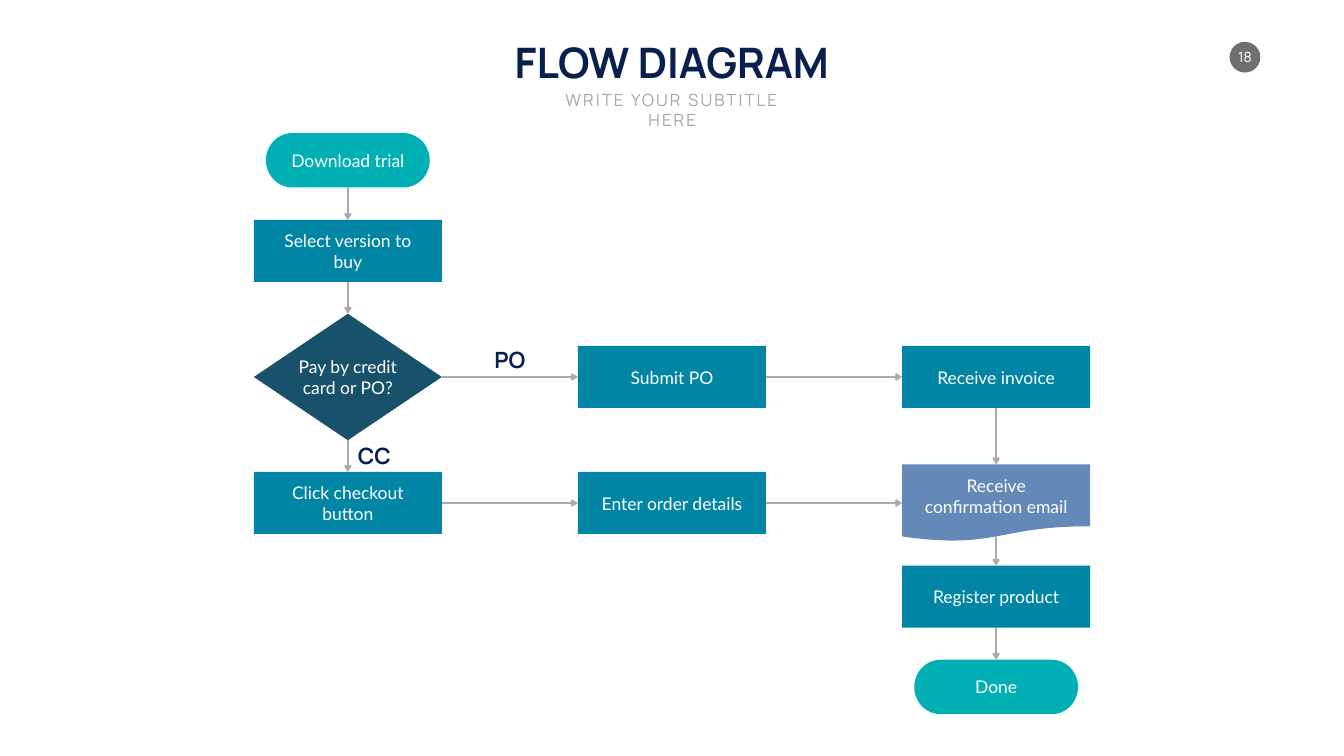
from pptx import Presentation
from pptx.dml.color import RGBColor
from pptx.enum.shapes import MSO_CONNECTOR, MSO_SHAPE
from pptx.enum.text import MSO_ANCHOR, MSO_AUTO_SIZE, PP_ALIGN
from pptx.oxml.ns import qn
from pptx.util import Inches, Pt
from lxml.etree import SubElement

NAVY, GREY, LINE, WHITE = "08204D", "A6A6A6", "AAAAAA", "FFFFFF"
HEADING_FONT, BODY_FONT = "Manrope", "Lato"
TOP, LEFT, BOTTOM, RIGHT = range(4)
COLUMNS = [6.9, 13.33, 19.76]
DOCUMENT_EDGE = 10.64

# kind: preset, fill, width, height, label width, label rise
KINDS = {
    "terminator": (MSO_SHAPE.FLOWCHART_TERMINATOR, "00B0B5", 3.25, 1.08, 2.63, 0),
    "process": (MSO_SHAPE.RECTANGLE, "0085A4", 3.73, 1.23, 3.1, 0),
    "decision": (MSO_SHAPE.FLOWCHART_DECISION, "18526A", 3.73, 2.51, 2.33, 0),
    "document": (MSO_SHAPE.FLOWCHART_DOCUMENT, "6488B7", 3.73, 1.53, 3.25, 0.14),
}

# name: kind, column, vertical centre, label, label height
STEPS = {
    "download": ("terminator", 0, 3.18, "Download trial", 0.52),
    "select": ("process", 0, 4.98, "Select version to buy", 0.94),
    "checkout": ("process", 0, 9.98, "Click checkout button", 0.94),
    "payment": ("decision", 0, 7.48, "Pay by credit card or PO?", 0.94),
    "order": ("process", 1, 9.98, "Enter order details", 0.52),
    "submit": ("process", 1, 7.48, "Submit PO", 0.52),
    "invoice": ("process", 2, 7.48, "Receive invoice", 0.52),
    "register": ("process", 2, 11.84, "Register product", 0.52),
    "email": ("document", 2, 9.98, "Receive confirmation email", 0.94),
    "done": ("terminator", 2, 13.63, "Done", 0.52),
}

DOWNWARD = [("download", "select"), ("select", "payment"), ("payment", "checkout"),
            ("invoice", "email"), ("email", "register"), ("register", "done")]
ACROSS = [("payment", "submit"), ("checkout", "order"),
          ("submit", "invoice"), ("order", "email")]


def color(value):
    """Turn a hex string into a colour."""
    return RGBColor.from_string(value)


def write(shape, text, size, font, fill, bold=False, align=PP_ALIGN.CENTER,
          anchor=MSO_ANCHOR.TOP, wrap=True):
    """Put one formatted paragraph into a shape and return it."""
    frame = shape.text_frame
    frame.text = text
    frame.word_wrap = wrap
    frame.auto_size = MSO_AUTO_SIZE.NONE
    frame.vertical_anchor = anchor
    para = frame.paragraphs[0]
    para.alignment = align
    para.space_before = Pt(0)
    para.font.size = Pt(size)
    para.font.name = font
    para.font.bold = bold
    para.font.color.rgb = color(fill)
    return para


def place(shape, left, top, width, height):
    """Move and size a placeholder."""
    shape.left, shape.top = Inches(left), Inches(top)
    shape.width, shape.height = Inches(width), Inches(height)


def add_box(page, left, top, width, height):
    """Add an empty text box."""
    return page.shapes.add_textbox(Inches(left), Inches(top), Inches(width), Inches(height))


def add_solid(page, preset, left, top, width, height, fill):
    """Add a filled preset shape without outline or shadow."""
    shape = page.shapes.add_shape(preset, Inches(left), Inches(top),
                                  Inches(width), Inches(height))
    shape.shadow.inherit = False
    shape.fill.solid()
    shape.fill.fore_color.rgb = color(fill)
    shape.line.fill.background()
    return shape


def add_heading(page):
    """Fill the title and subtitle placeholders."""
    title, subtitle = page.shapes.title, page.placeholders[1]
    place(title, 9.9, 0.67, 6.85, 1.11)
    write(title, "FLOW DIAGRAM", 60, HEADING_FONT, NAVY, bold=True, wrap=False)
    place(subtitle, 10.62, 1.72, 5.43, 0.5)
    para = write(subtitle, "WRITE YOUR SUBTITLE HERE", 24, HEADING_FONT, GREY)
    para.runs[0].font._element.set("spc", "300")


def add_page_number(page):
    """Add the round page number badge."""
    badge = add_solid(page, MSO_SHAPE.OVAL, 24.39, 0.83, 0.61, 0.61, "6D706D")
    frame = badge.text_frame
    frame.margin_left = frame.margin_right = frame.margin_top = frame.margin_bottom = 0
    write(badge, "18", 20, HEADING_FONT, WHITE, anchor=MSO_ANCHOR.MIDDLE, wrap=False)


def add_step(page, kind, column, middle, label, label_height):
    """Add a flow step with its centred label and return the shape."""
    preset, fill, width, height, label_width, rise = KINDS[kind]
    center = COLUMNS[column]
    step = add_solid(page, preset, center - width / 2, middle - height / 2,
                     width, height, fill)
    box = add_box(page, center - label_width / 2, middle - rise - label_height / 2,
                  label_width, label_height)
    write(box, label, 25, BODY_FONT, WHITE, anchor=MSO_ANCHOR.MIDDLE)
    return step


def add_arrow(page, start, start_side, end, end_side):
    """Join two steps with a grey arrow."""
    arrow = page.shapes.add_connector(MSO_CONNECTOR.STRAIGHT, 0, 0, 0, 0)
    if start.auto_shape_type == MSO_SHAPE.FLOWCHART_DOCUMENT:
        arrow.begin_x = start.left + start.width // 2
        arrow.begin_y = Inches(DOCUMENT_EDGE)
    else:
        arrow.begin_connect(start, start_side)
    arrow.end_connect(end, end_side)
    arrow.line.width = Pt(3)
    arrow.line.color.rgb = color(LINE)
    SubElement(arrow.line._get_or_add_ln(), qn("a:tailEnd"), type="arrow")
    SubElement(arrow._element.spPr, qn("a:effectLst"))


def add_branch_label(page, text, left, top, width, align):
    """Add the name of a branch beside its arrow."""
    box = add_box(page, left, top, width, 0.64)
    write(box, text, 32, HEADING_FONT, NAVY, bold=True, align=align, wrap=False)


def main():
    """Build the flow diagram slide."""
    deck = Presentation()
    deck.slide_width, deck.slide_height = Inches(26.66), Inches(15)
    page = deck.slides.add_slide(deck.slide_layouts[0])
    add_page_number(page)
    add_heading(page)
    steps = {name: add_step(page, *details) for name, details in STEPS.items()}
    for start, end in DOWNWARD:
        add_arrow(page, steps[start], BOTTOM, steps[end], TOP)
    for start, end in ACROSS:
        add_arrow(page, steps[start], RIGHT, steps[end], LEFT)
    add_branch_label(page, "PO", 9.7, 6.82, 0.83, PP_ALIGN.CENTER)
    add_branch_label(page, "CC", 7, 8.72, 0.89, PP_ALIGN.LEFT)
    deck.save("out.pptx")


if __name__ == "__main__":
    main()
